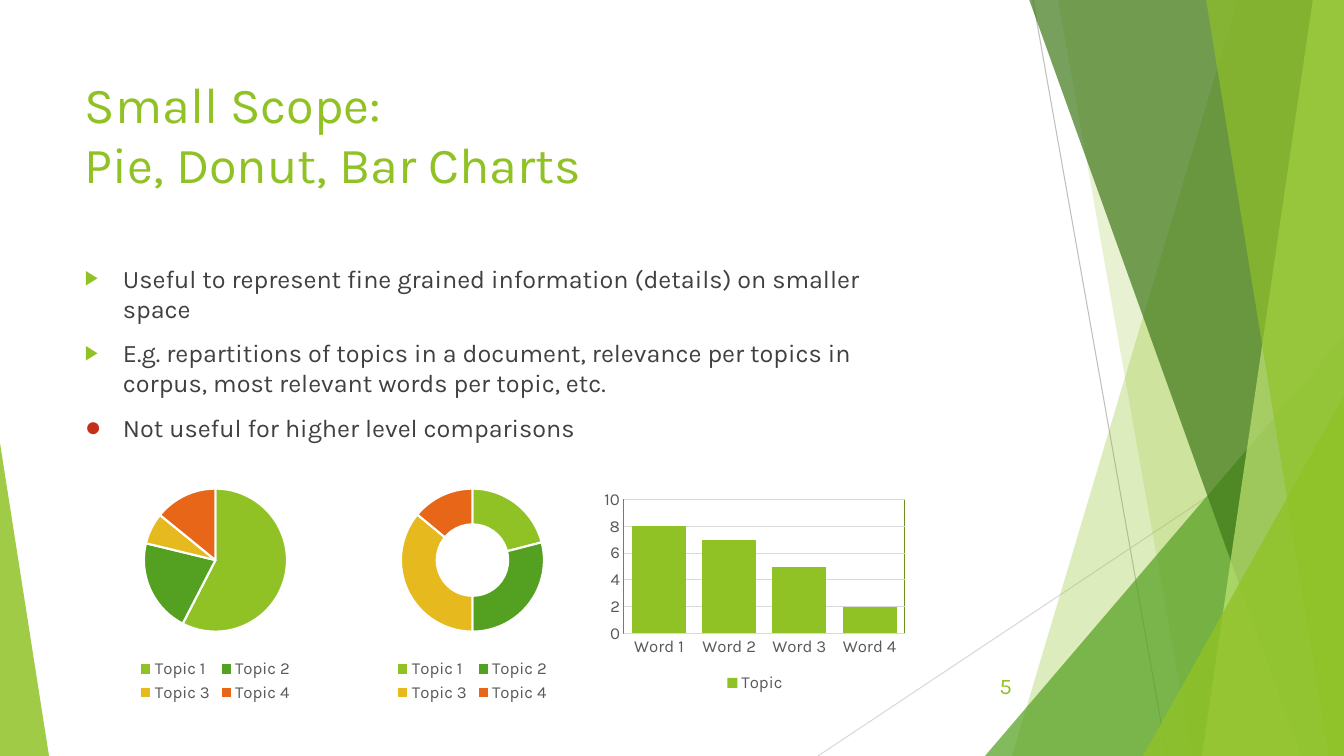
from lxml import etree
from pptx import Presentation
from pptx.chart.data import CategoryChartData
from pptx.dml.color import RGBColor
from pptx.enum.chart import XL_CHART_TYPE, XL_LEGEND_POSITION, XL_TICK_MARK
from pptx.enum.shapes import MSO_CONNECTOR, MSO_SHAPE
from pptx.enum.text import MSO_ANCHOR, PP_ALIGN
from pptx.oxml import parse_xml
from pptx.oxml.ns import nsdecls, qn
from pptx.util import Pt

PIE, DONUT, BAR = XL_CHART_TYPE.PIE, XL_CHART_TYPE.DOUGHNUT, XL_CHART_TYPE.COLUMN_CLUSTERED
BOTTOM = XL_LEGEND_POSITION.BOTTOM
NO_TICK = XL_TICK_MARK.NONE
STRAIGHT = MSO_CONNECTOR.STRAIGHT
TRIANGLE = MSO_SHAPE.ISOSCELES_TRIANGLE
TOP, MIDDLE = MSO_ANCHOR.TOP, MSO_ANCHOR.MIDDLE
LEFT, RIGHT = PP_ALIGN.LEFT, PP_ALIGN.RIGHT

FONT = "Karla"
GREEN, GREY, LIGHT, TEXT = "90C226", "595959", "D9D9D9", "404040"
TOPIC_COLORS = [GREEN, "54A021", "E6B91E", "E76618"]
TOPICS = [f"Topic {i}" for i in range(1, 5)]
WORDS = [f"Word {i}" for i in range(1, 5)]
BULLETS = [
    ("Useful to represent fine grained information (details) on smaller space", "▶", GREEN, 80),
    ("E.g. repartitions of topics in a document, relevance per topics in corpus, "
     "most relevant words per topic, etc.", "▶", GREEN, 80),
    ("Not useful for higher level comparisons", "●", "C42F1A", 110),
]


def px(n):
    return round(n * 914400 / 100.8)


def rgb(color):
    return RGBColor.from_string(color)


def style_font(font, size, color):
    font.name, font.size = FONT, Pt(size)
    font.color.rgb = rgb(color)


def style_line(line, color, width):
    line.color.rgb = rgb(color)
    line.width = Pt(width)


def fill_shape(sp, color, alpha):
    sp.shadow.inherit = False
    sp.fill.solid()
    sp.fill.fore_color.rgb = rgb(color)
    sp.line.fill.background()
    clr = sp.fill._xPr.find(".//" + qn("a:srgbClr"))
    etree.SubElement(clr, qn("a:alpha"), val=str(alpha * 1000))


def add_line(s, x1, y1, x2, y2, color):
    ln = s.shapes.add_connector(STRAIGHT, px(x1), px(y1), px(x2), px(y2))
    style_line(ln.line, color, 0.75)
    etree.SubElement(ln._element.spPr, qn("a:effectLst"))


def add_band(s, top_left, top_right, bottom_right, bottom_left, color, alpha):
    fb = s.shapes.build_freeform(px(top_left), px(-1))
    fb.add_line_segments([(px(top_right), px(-1)), (px(bottom_right), px(756)),
                          (px(bottom_left), px(756))], close=True)
    fill_shape(fb.convert_to_shape(), color, alpha)


def add_triangle(s, x, y, w, h, apex, color, alpha):
    sp = s.shapes.add_shape(TRIANGLE, px(x), px(y), px(w), px(h))
    sp.adjustments[0] = apex
    fill_shape(sp, color, alpha)


def add_textbox(s, x, y, w, h, anchor=TOP):
    tf = s.shapes.add_textbox(px(x), px(y), px(w), px(h)).text_frame
    tf.word_wrap = True
    tf.vertical_anchor = anchor
    return tf


def add_run(p, text, size, color):
    r = p.add_run()
    r.text = text
    style_font(r.font, size, color)


def add_label(s, box, lines, size, align=LEFT, anchor=TOP):
    p = add_textbox(s, *box, anchor).paragraphs[0]
    p.alignment = align
    for i, text in enumerate(lines):
        if i:
            p.add_line_break()
        add_run(p, text, size, GREEN)


def add_bullets(s, box, bullets):
    tf = add_textbox(s, *box)
    for i, (text, char, color, size) in enumerate(bullets):
        p = tf.add_paragraph() if i else tf.paragraphs[0]
        p.space_before = Pt(10)
        pPr = p._p.get_or_add_pPr()
        pPr.set("marL", str(px(38)))
        pPr.set("indent", str(px(-38)))
        clr = etree.SubElement(pPr, qn("a:buClr"))
        etree.SubElement(clr, qn("a:srgbClr"), val=color)
        etree.SubElement(pPr, qn("a:buSzPct"), val=str(size * 1000))
        etree.SubElement(pPr, qn("a:buFont"), typeface="Arial")
        etree.SubElement(pPr, qn("a:buChar"), char=char)
        add_run(p, text, 18, TEXT)


def set_plot_box(chart, x, y, w, h):
    area = chart._chartSpace.chart.plotArea
    for old in area.findall(qn("c:layout")):
        area.remove(old)
    layout = parse_xml(f"<c:layout {nsdecls('c')}/>")
    manual = etree.SubElement(layout, qn("c:manualLayout"))
    values = [("layoutTarget", "inner"), ("xMode", "edge"), ("yMode", "edge"),
              ("x", x), ("y", y), ("w", w), ("h", h)]
    for tag, val in values:
        etree.SubElement(manual, qn(f"c:{tag}"), val=str(val))
    area.insert(0, layout)
    return area


def add_chart(s, kind, box, cats, name, vals):
    data = CategoryChartData()
    data.categories = cats
    data.add_series(name, vals)
    chart = s.shapes.add_chart(kind, *map(px, box), data).chart
    chart.has_title = False
    style_font(chart.font, 10, "000000")
    chart.has_legend = True
    chart.legend.position = BOTTOM
    chart.legend.include_in_layout = False
    style_font(chart.legend.font, 12, GREY)
    return chart


def add_round_chart(s, kind, x, vals):
    chart = add_chart(s, kind, (x, 474, 265, 233), TOPICS, "Series 1", vals)
    plot = chart.plots[0]
    plot.vary_by_categories = True
    for i, color in enumerate(TOPIC_COLORS):
        fmt = plot.series[0].points[i].format
        fmt.fill.solid()
        fmt.fill.fore_color.rgb = rgb(color)
        style_line(fmt.line, "FFFFFF", 1.5)
    set_plot_box(chart, 0.23, 0.06, 0.54, 0.62)


def add_bar_chart(s, box, vals):
    chart = add_chart(s, BAR, box, WORDS, "Topic", vals)
    plot = chart.plots[0]
    plot.vary_by_categories = False
    plot.gap_width, plot.overlap = 30, -100
    fill = plot.series[0].format.fill
    fill.solid()
    fill.fore_color.rgb = rgb(GREEN)
    cat, val = chart.category_axis, chart.value_axis
    for axis in (cat, val):
        axis.major_tick_mark = axis.minor_tick_mark = NO_TICK
        style_font(axis.tick_labels.font, 12, GREY)
    style_line(cat.format.line, LIGHT, 0.75)
    val.format.line.fill.background()
    val.minimum_scale, val.maximum_scale, val.major_unit = 0, 10, 2
    style_line(val.major_gridlines.format.line, LIGHT, 0.75)
    area = set_plot_box(chart, 0.08, 0.07, 0.9, 0.63)
    area.append(parse_xml(
        f"<c:spPr {nsdecls('c', 'a')}><a:noFill/><a:ln w='9525'><a:solidFill>"
        "<a:srgbClr val='6B911C'/></a:solidFill></a:ln></c:spPr>"))


def add_backdrop(s):
    add_line(s, 1033, 0, 1167, 756, "BFBFBF")
    add_line(s, 1344, 406, 818, 756, LIGHT)
    add_band(s, 1238, 1344, 1344, 1012, GREEN, 30)
    add_band(s, 1058, 1344, 1344, 1192, GREEN, 20)
    add_triangle(s, 985, 336, 359, 420, 1, "54A021", 72)
    add_band(s, 1029, 1344, 1344, 1301, "3F7819", 70)
    add_band(s, 1313, 1344, 1344, 1202, "C0E474", 70)
    add_band(s, 1206, 1344, 1344, 1329, GREEN, 65)
    add_triangle(s, 1143, 396, 201, 360, 1, GREEN, 80)
    add_triangle(s, 0, 443, 49, 313, 0, GREEN, 85)


def main():
    prs = Presentation()
    prs.slide_width, prs.slide_height = px(1344), px(756)
    s = prs.slides.add_slide(prs.slide_layouts[6])
    add_backdrop(s)
    add_label(s, (75, 68, 948, 145), ["Small Scope:", "Pie, Donut, Bar Charts"], 36)
    add_bullets(s, (75, 258, 859, 427), BULLETS)
    add_label(s, (947, 666, 75, 40), ["5"], 16, RIGHT, MIDDLE)
    add_round_chart(s, PIE, 83, [57, 21, 7, 14])
    add_round_chart(s, DONUT, 340, [21, 29, 36, 14])
    add_bar_chart(s, (599, 485, 312, 212), [8, 7, 5, 2])
    prs.save("out.pptx")


if __name__ == "__main__":
    main()
